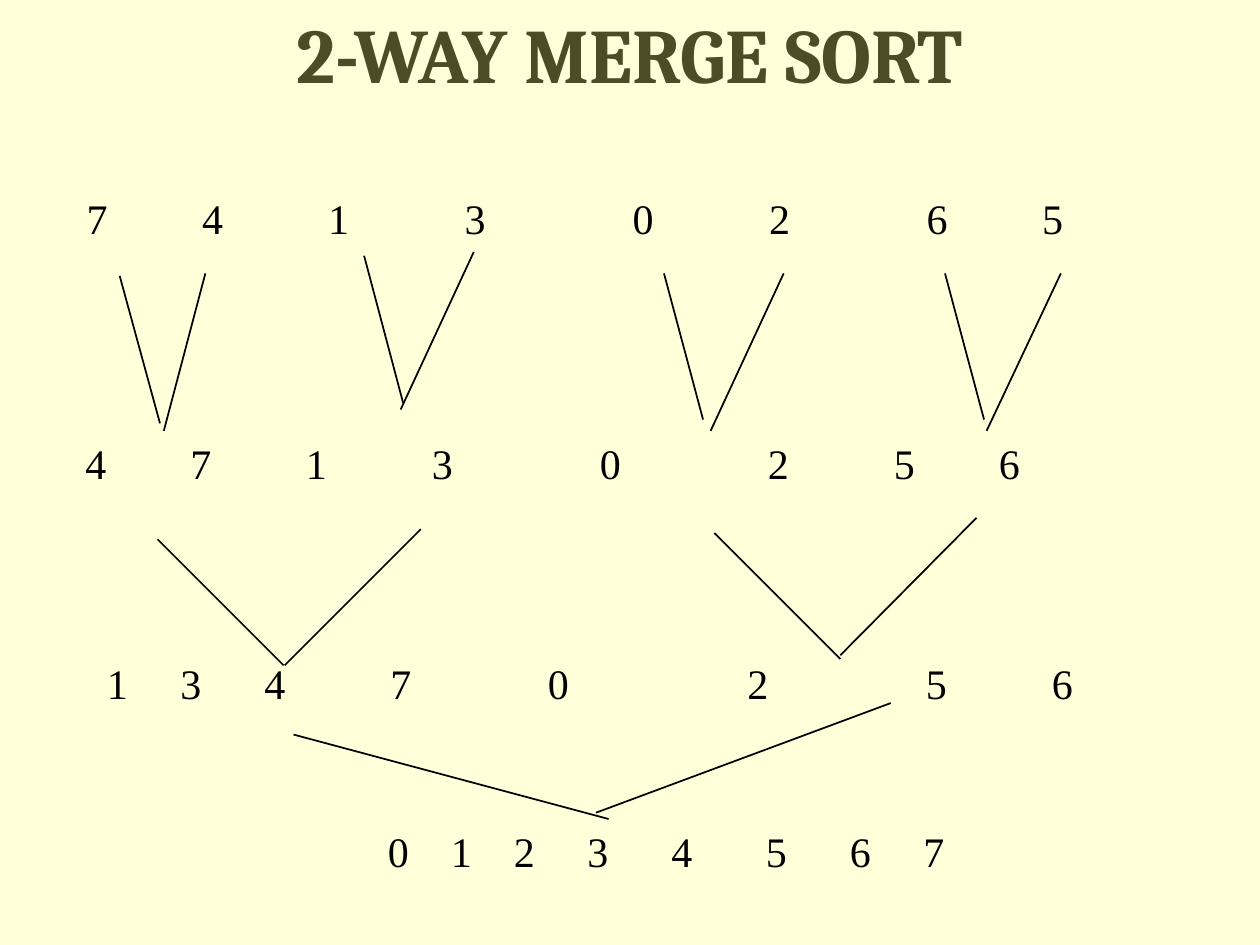
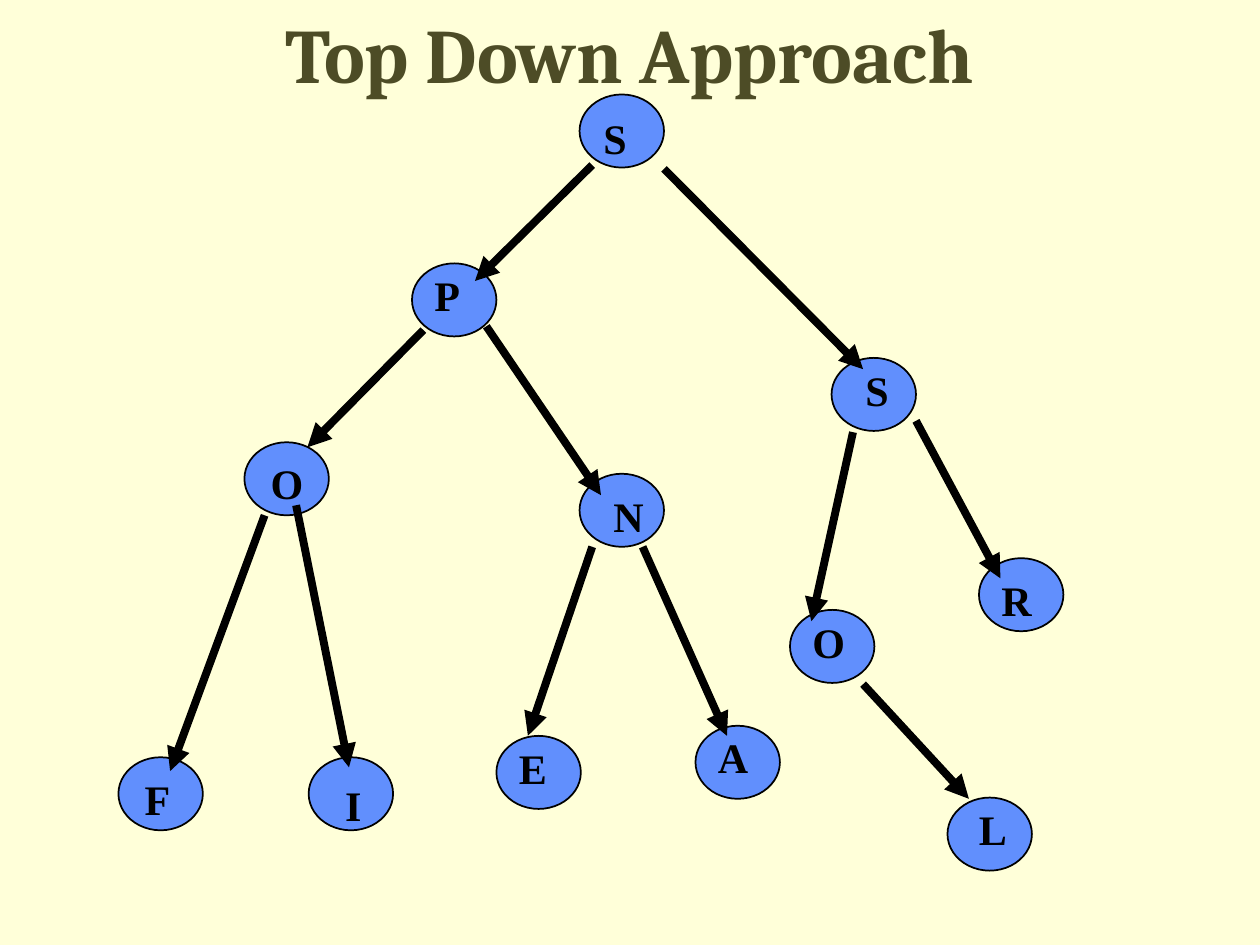
import itertools

import lxml.etree
import pptx
import pptx.dml.color
import pptx.enum.shapes
import pptx.enum.text
import pptx.oxml.ns
import pptx.util

SLIDE_WIDTH, SLIDE_HEIGHT = 10, 7.5
COLUMNS, ROWS = 100, 75
BACKGROUND, TITLE_COLOR, INK, NODE_FILL = "FFFFD9", "4D4C26", "000000", "618FFD"
TITLE_FONT, BODY_FONT = "Cambria", "Times New Roman"
SPACE_WIDTH = 10 / 12
DIGIT_WIDTH = 2 * SPACE_WIDTH
NODE_WIDTH, NODE_HEIGHT = 6.7, 5.8

DIGIT_ROWS = [
    ("74130265", 5.9, 14.8, (9, 10, 11, 14, 11, 13, 9)),
    ("47130256", 5.8, 34.2, (8, 9, 10, 14, 14, 10, 8)),
    ("13470256", 7.5, 51.7, (5, 6, 10, 13, 17, 15, 10)),
    ("01234567", 29.8, 65, (4, 4, 5, 6, 7, 6, 5)),
]

MERGE_LINES = [
    (9.5, 21.9, 12.7, 33.6), (16.3, 21.7, 13, 34.2),
    (28.9, 20.3, 32, 32), (37.6, 20, 31.8, 32.5),
    (52.7, 21.7, 55.8, 33.3), (62.2, 21.7, 56.4, 34.2),
    (75, 21.7, 78.1, 33.3), (84.2, 21.7, 78.3, 34.2),
    (12.5, 42.8, 22.5, 52.8), (33.4, 42, 22.6, 52.8),
    (56.7, 42.3, 66.7, 52.3), (77.5, 41.1, 66.7, 52),
    (23.3, 58.3, 48.3, 65), (70.7, 55.8, 47.3, 64.5),
]

TREE_NODES = [
    ("S", 46, 7.5, 0.9, 0.9), ("P", 32.7, 20.9, 0.8, 0),
    ("O", 19.4, 35.1, 1.1, 0.7), ("N", 46, 37.6, 1.7, 0.8),
    ("F", 9.4, 60.1, 1.1, 0.8), ("I", 24.5, 60.1, 1.9, 1.3),
    ("E", 39.4, 58.4, 0.8, 0), ("A", 55.2, 57.6, 0.8, 0),
    ("S", 66, 28.4, 1.7, 0), ("O", 62.7, 48.4, 0.8, 0),
    ("R", 77.7, 44.3, 0.8, 0.8), ("L", 75.2, 63.3, 1.5, 0),
]

TREE_ARROWS = [
    (47, 13.1, 37.7, 22.3), (52.7, 13.4, 68.5, 29.3),
    (33.6, 26.2, 24.4, 35.5), (38.6, 25.9, 47.7, 39.3),
    (21, 40.9, 13.5, 61.2), (23.5, 40.1, 27.7, 60.9),
    (47, 43.4, 41.9, 58.4), (51, 43.4, 57.7, 58.4),
    (67.7, 34.3, 64.4, 49.3), (72.7, 33.4, 79.4, 45.9),
    (68.5, 54.3, 76.9, 63.4),
]


def color(value):
    return pptx.dml.color.RGBColor.from_string(value)


def across(columns):
    return pptx.util.Inches(SLIDE_WIDTH * columns / COLUMNS)


def down(rows):
    return pptx.util.Inches(SLIDE_HEIGHT * rows / ROWS)


def add_element(parent, tag, **attributes):
    return lxml.etree.SubElement(parent, pptx.oxml.ns.qn(tag), attributes)


def add_text(slide, text, column, row, width, height, font=BODY_FONT, size=24,
             ink=INK, bold=False, align="LEFT", anchor="TOP", tab_stops=()):
    shape = slide.shapes.add_textbox(across(column), down(row), across(width), down(height))
    frame = shape.text_frame
    frame.word_wrap = True
    frame.vertical_anchor = pptx.enum.text.MSO_ANCHOR[anchor]
    paragraph = frame.paragraphs[0]
    paragraph.alignment = pptx.enum.text.PP_ALIGN[align]
    if tab_stops:
        tab_list = add_element(paragraph._p.get_or_add_pPr(), "a:tabLst")
        for stop in tab_stops:
            add_element(tab_list, "a:tab", pos=str(across(stop)), algn="l")
    run = paragraph.add_run()
    run.text = text
    run.font.name = font
    run.font.size = pptx.util.Pt(size)
    run.font.bold = bold
    run.font.color.rgb = color(ink)


def add_line(slide, start_column, start_row, end_column, end_row, weight=1, arrow=False):
    connector = slide.shapes.add_connector(
        pptx.enum.shapes.MSO_CONNECTOR.STRAIGHT,
        across(start_column), down(start_row), across(end_column), down(end_row))
    connector.line.color.rgb = color(INK)
    connector.line.width = pptx.util.Pt(weight)
    if arrow:
        add_element(connector.line._get_or_add_ln(), "a:tailEnd", type="triangle")
    add_element(connector._element.spPr, "a:effectLst")


def add_digit_row(slide, digits, column, row, gaps):
    steps = [DIGIT_WIDTH + gap * SPACE_WIDTH for gap in gaps]
    add_text(slide, "\t".join(digits), column, row, sum(steps) + 5, 5,
             tab_stops=list(itertools.accumulate(steps)))


def add_node_circle(slide, column, row):
    shape = slide.shapes.add_shape(
        pptx.enum.shapes.MSO_SHAPE.OVAL,
        across(column), down(row), across(NODE_WIDTH), down(NODE_HEIGHT))
    shape.shadow.inherit = False
    shape.fill.solid()
    shape.fill.fore_color.rgb = color(NODE_FILL)
    shape.line.color.rgb = color(INK)
    shape.line.width = pptx.util.Pt(1)


def add_titled_slide(presentation, title):
    slide = presentation.slides.add_slide(presentation.slide_layouts[6])
    slide.background.fill.solid()
    slide.background.fill.fore_color.rgb = color(BACKGROUND)
    add_text(slide, title, 7.5, 0, 85, 8.3, font=TITLE_FONT, size=44,
             ink=TITLE_COLOR, bold=True, align="CENTER", anchor="MIDDLE")
    return slide


def build_merge_sort(presentation):
    slide = add_titled_slide(presentation, "2-WAY MERGE SORT")
    for line in MERGE_LINES:
        add_line(slide, *line)
    for digit_row in DIGIT_ROWS:
        add_digit_row(slide, *digit_row)


def build_tree(presentation):
    slide = add_titled_slide(presentation, "Top Down Approach")
    for letter, column, row, shift_right, shift_down in TREE_NODES:
        add_node_circle(slide, column, row)
    for arrow in TREE_ARROWS:
        add_line(slide, *arrow, weight=4.5, arrow=True)
    for letter, column, row, shift_right, shift_down in TREE_NODES:
        add_text(slide, letter, column + shift_right, row + shift_down, 5, 5, bold=True)


def main():
    presentation = pptx.Presentation()
    presentation.slide_width = pptx.util.Inches(SLIDE_WIDTH)
    presentation.slide_height = pptx.util.Inches(SLIDE_HEIGHT)
    build_merge_sort(presentation)
    build_tree(presentation)
    presentation.save("out.pptx")


if __name__ == "__main__":
    main()
